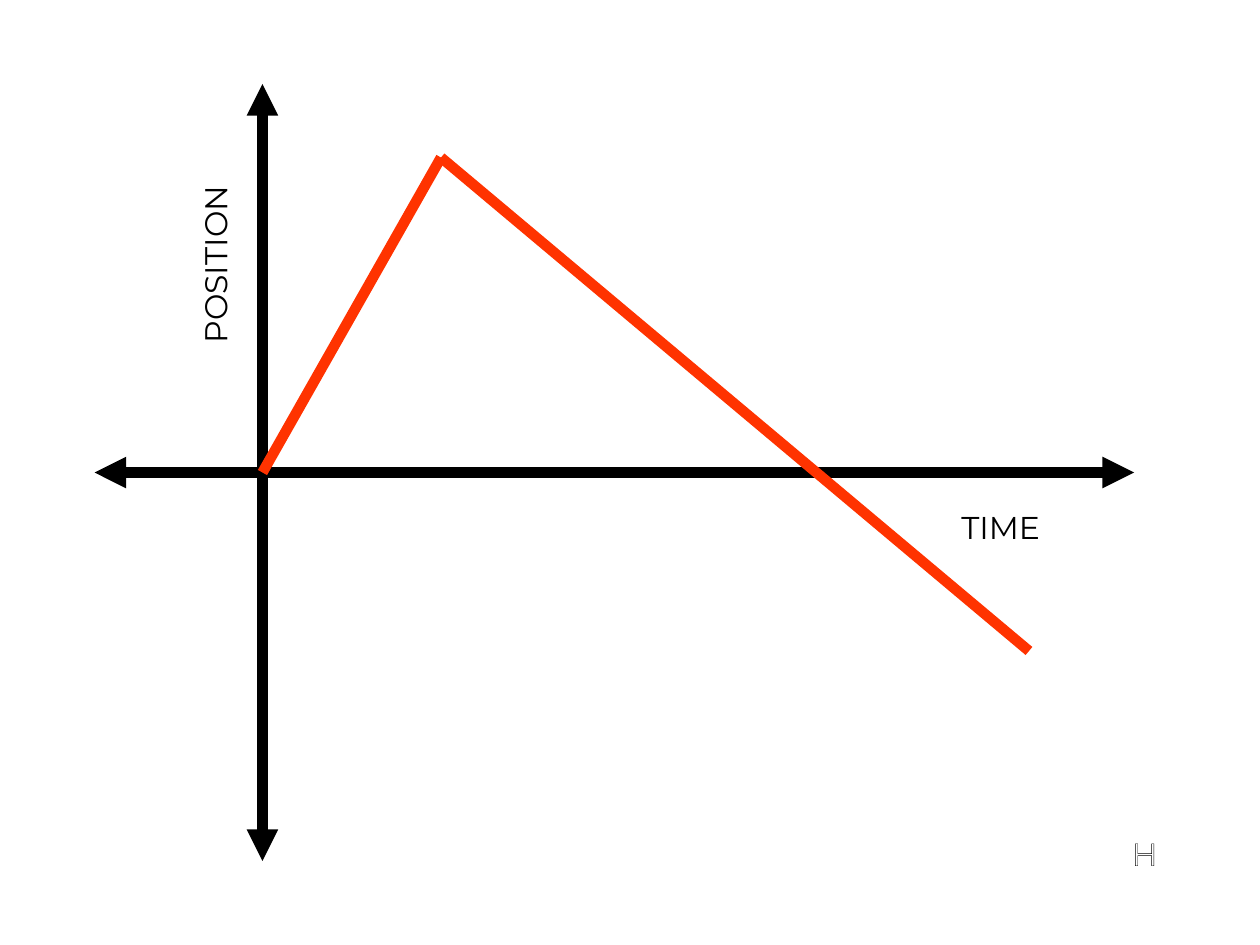
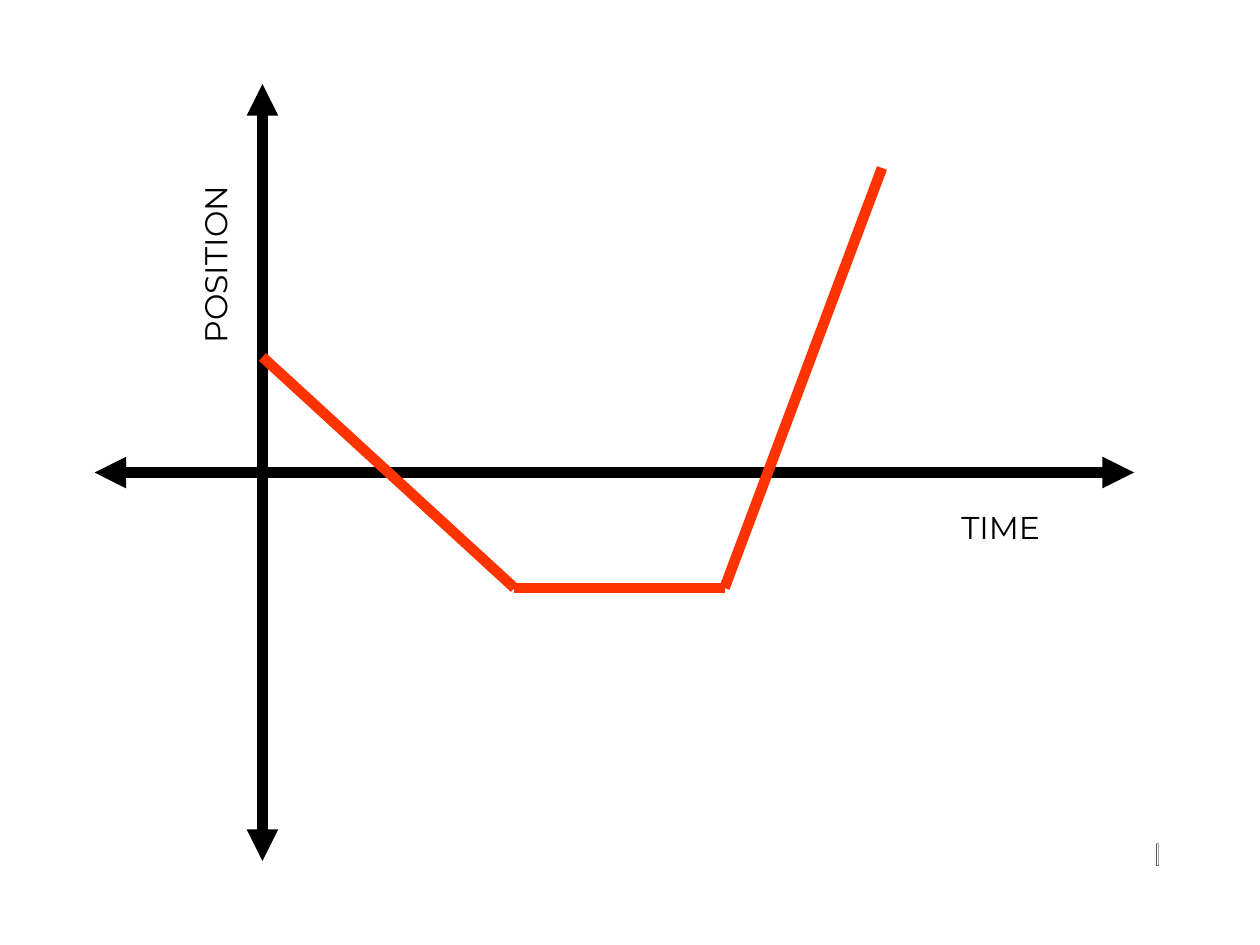
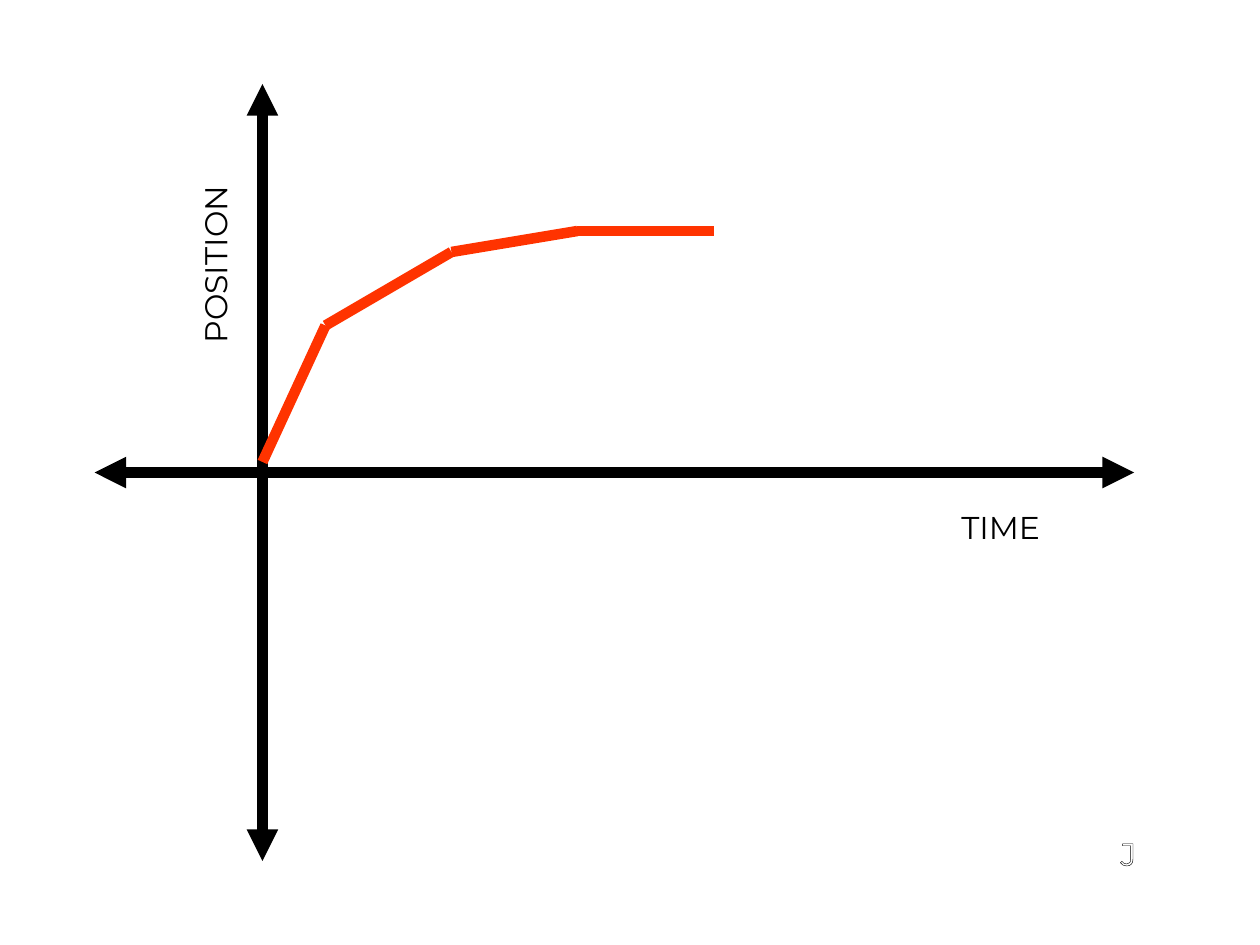
from itertools import pairwise

from lxml import etree
from pptx import Presentation
from pptx import util as u
from pptx.dml.color import RGBColor
from pptx.enum import shapes, text
from pptx.oxml.ns import qn

# Graph points are (time, position) in grid steps from the origin.
# Each letter box is (left, width) in cm.
GRAPHS = [
    {"letter": "H", "letter_box": (22.23, 1.69),
     "points": [(0, 0), (17, 30), (73, -17)]},
    {"letter": "I", "letter_box": (23.07, 0.42),
     "points": [(0, 11), (24, -11), (44, -11), (59, 29)]},
    {"letter": "J", "letter_box": (22.01, 1.48),
     "points": [(0, 1), (6, 14), (18, 21), (30, 23), (43, 23)]},
]
AXES = [
    [(0, 37), (0, -37)],
    [(-16, 0), (83, 0)],
]
# Text, box (left, top, width, height) in cm, rotation
AXIS_LABELS = [
    ("POSITION", (1.55, 4.8, 5.56, 1.07), 270),
    ("TIME", (18.2, 10.16, 3.95, 0.92), 0),
]
LETTER_TOP, LETTER_HEIGHT = 16.3, 1.8

PAGE_WIDTH, PAGE_HEIGHT = u.Cm(25.4), u.Cm(19.05)
STEP = PAGE_WIDTH // 120
ORIGIN_X, ORIGIN_Y = 25 * STEP, 45 * STEP

BLACK = RGBColor(0x00, 0x00, 0x00)
WHITE = RGBColor(0xFF, 0xFF, 0xFF)
ORANGE = RGBColor(0xFF, 0x33, 0x00)
FONT = "Montserrat"
FONT_SIZE = u.Pt(18)
LINE_WIDTH = u.Pt(6)
OUTLINE_WIDTH = u.Pt(0.75)


def to_page(point):
    """Turn a graph point into page coordinates."""
    time, position = point
    return ORIGIN_X + time * STEP, ORIGIN_Y - position * STEP


def add_line(page, start, end, colour, arrows=False):
    line = page.shapes.add_connector(
        shapes.MSO_CONNECTOR.STRAIGHT, *to_page(start), *to_page(end))
    line.line.color.rgb = colour
    line.line.width = LINE_WIDTH
    if arrows:
        for end_tag in ("a:headEnd", "a:tailEnd"):
            etree.SubElement(line.line._get_or_add_ln(), qn(end_tag), type="triangle")
    etree.SubElement(line._element.spPr, qn("a:effectLst"))


def outline_text(span, colour):
    outline = etree.Element(qn("a:ln"), w=str(OUTLINE_WIDTH))
    fill = etree.SubElement(outline, qn("a:solidFill"))
    etree.SubElement(fill, qn("a:srgbClr"), val=str(colour))
    span.font._element.insert(0, outline)


def add_label(page, wording, place, colour, rotation=0):
    box = page.shapes.add_textbox(*map(u.Cm, place))
    box.rotation = rotation
    frame = box.text_frame
    frame.text = wording
    frame.word_wrap = False
    frame.vertical_anchor = text.MSO_ANCHOR.MIDDLE
    para = frame.paragraphs[0]
    para.alignment = text.PP_ALIGN.CENTER
    span = para.runs[0]
    span.font.name = FONT
    span.font.size = FONT_SIZE
    span.font.color.rgb = colour
    outline_text(span, BLACK)


def add_graph(deck, graph):
    page = deck.slides.add_slide(deck.slide_layouts[6])
    for start, end in AXES:
        add_line(page, start, end, BLACK, arrows=True)
    for wording, place, rotation in AXIS_LABELS:
        add_label(page, wording, place, BLACK, rotation)
    for start, end in pairwise(graph["points"]):
        add_line(page, start, end, ORANGE)
    left, width = graph["letter_box"]
    add_label(page, graph["letter"], (left, LETTER_TOP, width, LETTER_HEIGHT), WHITE)


def main():
    deck = Presentation()
    deck.slide_width, deck.slide_height = PAGE_WIDTH, PAGE_HEIGHT
    for graph in GRAPHS:
        add_graph(deck, graph)
    deck.save("out.pptx")


if __name__ == "__main__":
    main()
